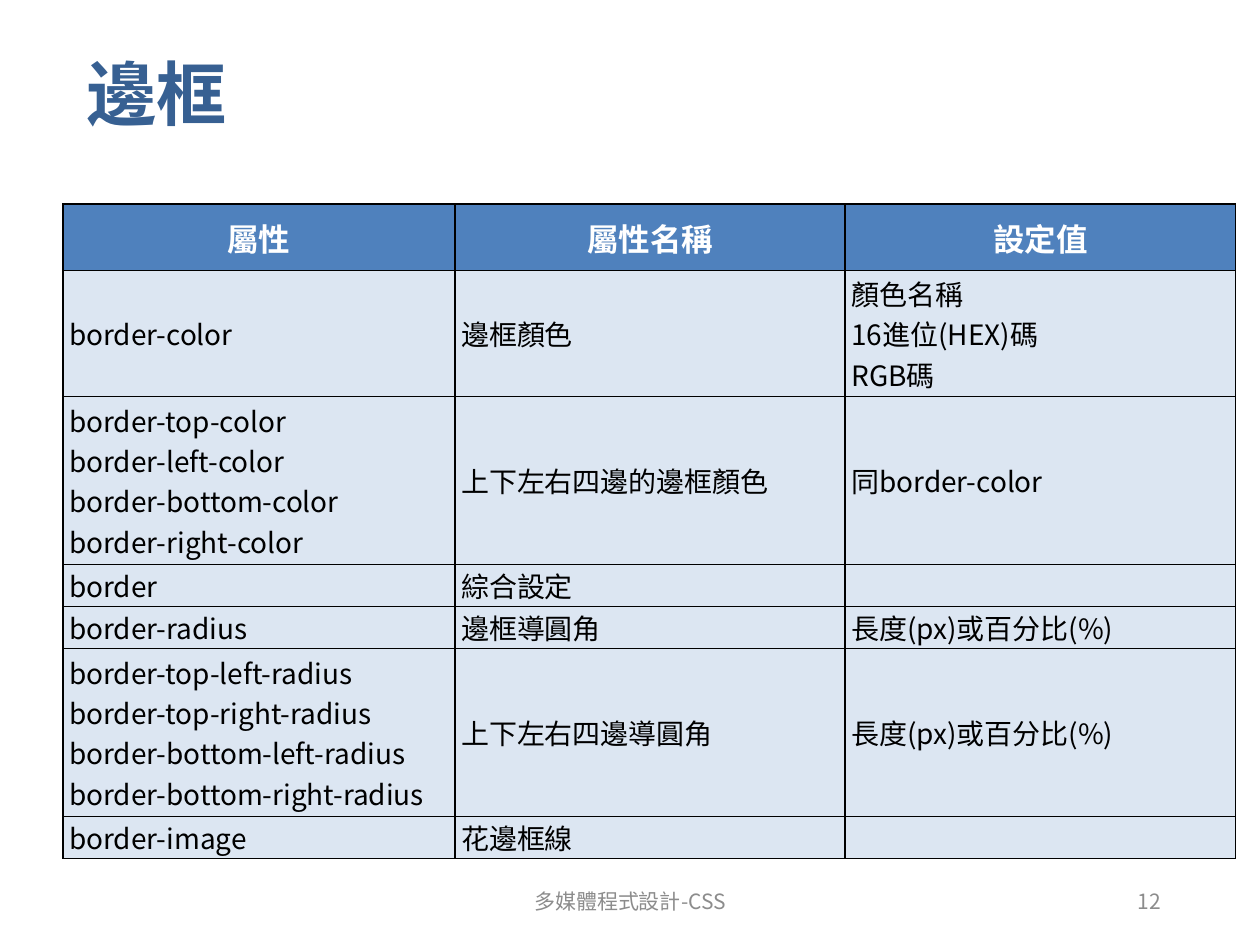
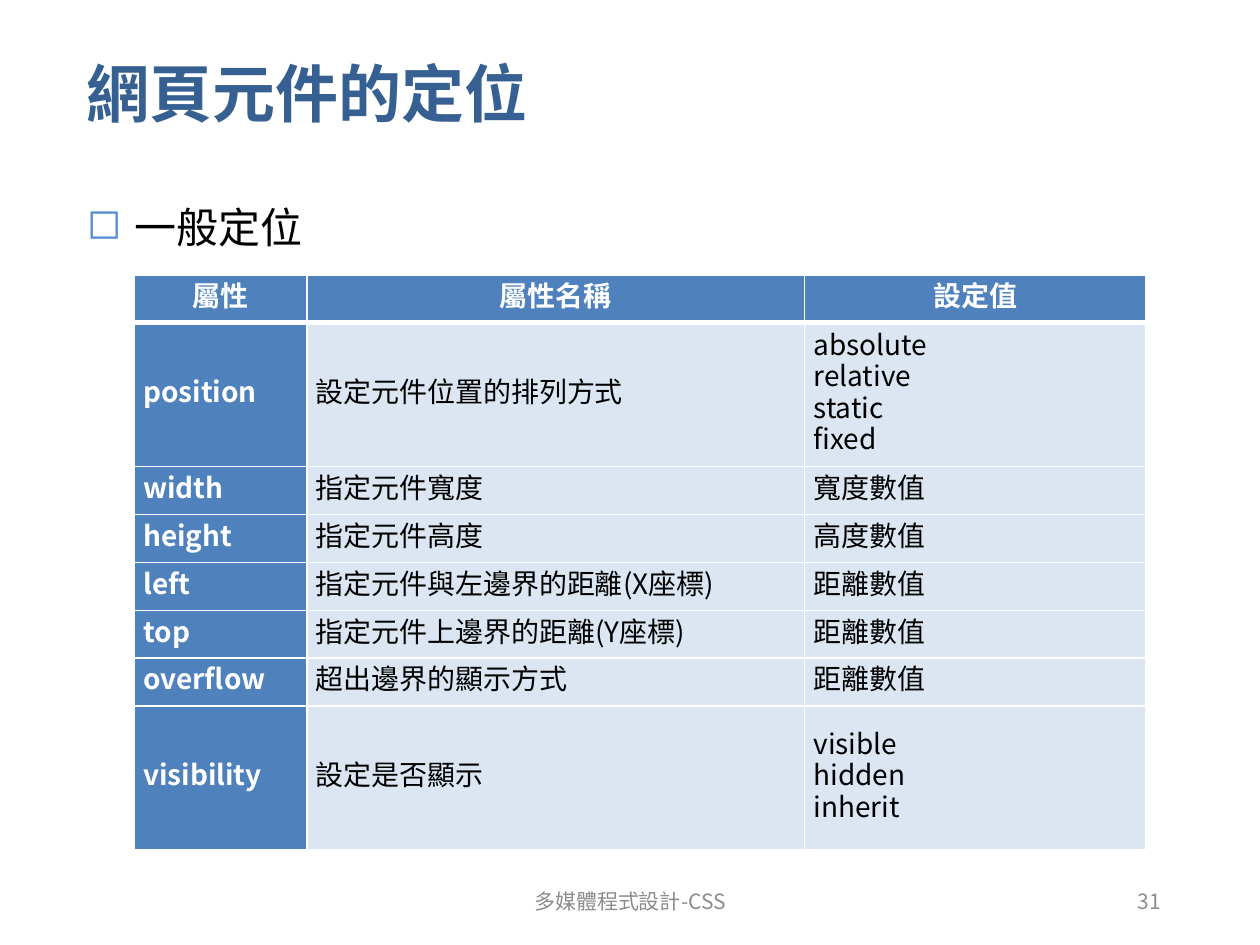
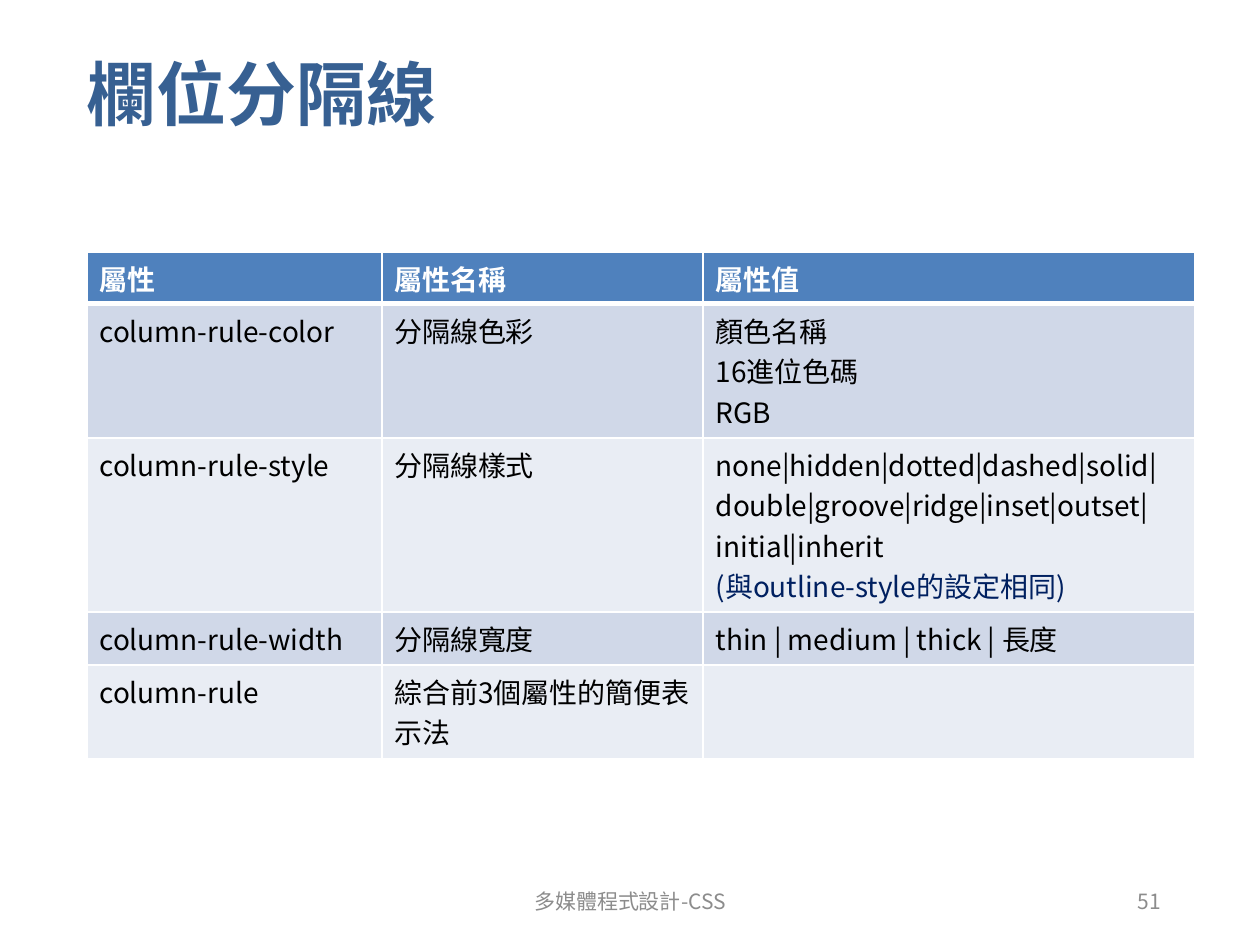
from dataclasses import dataclass

from lxml import etree
from pptx import Presentation
from pptx.dml.color import RGBColor
from pptx.enum.text import MSO_ANCHOR, PP_ALIGN
from pptx.oxml.ns import qn
from pptx.util import Pt

LEFT, CENTER, RIGHT = PP_ALIGN.LEFT, PP_ALIGN.CENTER, PP_ALIGN.RIGHT
TOP, MIDDLE = MSO_ANCHOR.TOP, MSO_ANCHOR.MIDDLE

# Shared colours and fonts
WHITE, BLACK, NAVY = "FFFFFF", "000000", "002060"
TITLE_BLUE, HEADER_BLUE, BULLET_BLUE = "376092", "4F81BD", "558ED5"
PALE_BLUE, BAND_DARK, BAND_LIGHT = "DCE6F2", "D0D8E8", "E9EDF4"
FOOTER_GRAY = "8C8C8C"
HEADING_FONT, TABLE_FONT, FOOTER_FONT = "Arial", "Noto Sans CJK SC", "Noto Sans CJK KR"
FOOTER = "多媒體程式設計-CSS"


@dataclass
class Style:
    size: float
    font: str
    color: str
    bold: bool = False


@dataclass
class Area:
    left: float
    top: float
    width: float
    height: float


@dataclass
class TableDesign:
    left: float
    top: float
    columns: list[float]
    rows: list[float]
    bands: list[str]
    line_color: str = WHITE
    header_line: float = 3
    header_size: float = 16
    header_align: PP_ALIGN = CENTER
    anchor: MSO_ANCHOR = MIDDLE
    side_margin: float = 7.2
    top_margin: float = 0
    line_spacing: float | None = None
    header_column: bool = False


TITLE_AREA = Area(42.5, 3.6, 627.8, 98.7)
BODY_AREA = Area(42.5, 111.6, 627.8, 38)
FOOTER_AREA = Area(238.5, 500.5, 243, 28.8)
NUMBER_AREA = Area(508.5, 500.5, 162, 28.8)
FOOTER_STYLE = Style(12, FOOTER_FONT, FOOTER_GRAY)


def rgb(color: str) -> RGBColor:
    return RGBColor.from_string(color)


def add_span(para, text: str, style: Style) -> None:
    span = para.add_run()
    span.text = text
    span.font.size = Pt(style.size)
    span.font.name = style.font
    span.font.bold = style.bold
    span.font.color.rgb = rgb(style.color)
    east_asian = etree.SubElement(span.font._element, qn("a:ea"))
    east_asian.set("typeface", TABLE_FONT if style.font == HEADING_FONT else style.font)


def add_text(page, area: Area, text: str, style: Style, align=LEFT, anchor=MIDDLE):
    box = page.shapes.add_textbox(Pt(area.left), Pt(area.top), Pt(area.width), Pt(area.height))
    frame = box.text_frame
    frame.word_wrap = True
    frame.vertical_anchor = anchor
    para = frame.paragraphs[0]
    para.alignment = align
    add_span(para, text, style)
    return para


def add_bullet(para, symbol: str, color: str, indent: float) -> None:
    properties = para._p.get_or_add_pPr()
    properties.set("marL", str(Pt(indent)))
    properties.set("indent", str(-Pt(indent)))
    bullet_color = etree.SubElement(properties, qn("a:buClr"))
    etree.SubElement(bullet_color, qn("a:srgbClr")).set("val", color)
    etree.SubElement(properties, qn("a:buChar")).set("char", symbol)


def set_borders(cell, color: str, top: float, bottom: float) -> None:
    properties = cell._tc.get_or_add_tcPr()
    for side, width in (("L", 1), ("R", 1), ("T", top), ("B", bottom)):
        line = etree.SubElement(properties, qn(f"a:ln{side}"), w=str(Pt(width)))
        fill = etree.SubElement(line, qn("a:solidFill"))
        etree.SubElement(fill, qn("a:srgbClr")).set("val", color)


def fill_cell(cell, text: str, style: Style, design: TableDesign, align: PP_ALIGN) -> None:
    cell.vertical_anchor = design.anchor
    cell.margin_left = cell.margin_right = Pt(design.side_margin)
    cell.margin_top = cell.margin_bottom = Pt(design.top_margin)
    frame = cell.text_frame
    for index, line in enumerate(text.split("\n")):
        para = frame.add_paragraph() if index else frame.paragraphs[0]
        para.alignment = align
        if design.line_spacing:
            para.line_spacing = Pt(design.line_spacing)
        if line:
            # A remark in brackets stands out in navy
            color = NAVY if line.startswith("(") else style.color
            add_span(para, line, Style(style.size, style.font, color, style.bold))
        else:
            # Keep an empty cell from stretching its row
            etree.SubElement(para._p, qn("a:endParaRPr")).set("sz", str(int(style.size * 100)))


def add_property_table(page, design: TableDesign, content: list[list[str]]) -> None:
    frame = page.shapes.add_table(
        len(design.rows), len(design.columns), Pt(design.left), Pt(design.top),
        Pt(sum(design.columns)), Pt(sum(design.rows)))
    table = frame.table
    table.first_row = table.horz_banding = False
    for column, width in zip(table.columns, design.columns):
        column.width = Pt(width)
    for row, height in zip(table.rows, design.rows):
        row.height = Pt(height)

    for row_index, texts in enumerate(content):
        is_header = row_index == 0
        band = design.bands[(row_index - 1) % len(design.bands)]
        for column_index, text in enumerate(texts):
            cell = table.cell(row_index, column_index)
            strong = is_header or (design.header_column and column_index == 0)
            set_borders(cell, design.line_color,
                        top=design.header_line if row_index == 1 else 1,
                        bottom=design.header_line if is_header else 1)
            cell.fill.solid()
            cell.fill.fore_color.rgb = rgb(HEADER_BLUE if strong else band)
            style = Style(design.header_size if is_header else 16, TABLE_FONT,
                          WHITE if strong else BLACK, strong)
            fill_cell(cell, text, style, design, design.header_align if is_header else LEFT)


def add_page(deck, title: str, number: int, title_size: float = 40):
    page = deck.slides.add_slide(deck.slide_layouts[6])
    add_text(page, TITLE_AREA, title, Style(title_size, HEADING_FONT, TITLE_BLUE, True))
    add_text(page, FOOTER_AREA, FOOTER, FOOTER_STYLE, CENTER)
    add_text(page, NUMBER_AREA, str(number), FOOTER_STYLE, RIGHT)
    return page


def build_border_page(deck) -> None:
    page = add_page(deck, "邊框", 12)
    design = TableDesign(36, 116.6, [224, 223, 223], [38, 72, 96, 24, 24, 96, 24],
                         [PALE_BLUE], line_color=BLACK, header_line=1,
                         header_size=18, side_margin=3.6)
    add_property_table(page, design, [
        ["屬性", "屬性名稱", "設定值"],
        ["border-color", "邊框顏色", "顏色名稱\n16進位(HEX)碼\nRGB碼"],
        ["border-top-color\nborder-left-color\nborder-bottom-color\nborder-right-color",
         "上下左右四邊的邊框顏色", "同border-color"],
        ["border", "綜合設定", ""],
        ["border-radius", "邊框導圓角", "長度(px)或百分比(%)"],
        ["border-top-left-radius\nborder-top-right-radius\n"
         "border-bottom-left-radius\nborder-bottom-right-radius",
         "上下左右四邊導圓角", "長度(px)或百分比(%)"],
        ["border-image", "花邊框線", ""],
    ])


def build_position_page(deck) -> None:
    page = add_page(deck, "網頁元件的定位", 31, title_size=36)
    para = add_text(page, BODY_AREA, "一般定位", Style(24, HEADING_FONT, BLACK), anchor=TOP)
    add_bullet(para, "◻", BULLET_BLUE, 27)
    design = TableDesign(76.8, 157, [98.6, 284.4, 195.1], [27.4, 82.2] + [27.4] * 5 + [82.2],
                         [PALE_BLUE], side_margin=5.2, line_spacing=18, header_column=True)
    add_property_table(page, design, [
        ["屬性", "屬性名稱", "設定值"],
        ["position", "設定元件位置的排列方式", "absolute\nrelative\nstatic\nfixed"],
        ["width", "指定元件寬度", "寬度數值"],
        ["height", "指定元件高度", "高度數值"],
        ["left", "指定元件與左邊界的距離(X座標)", "距離數值"],
        ["top", "指定元件上邊界的距離(Y座標)", "距離數值"],
        ["overflow", "超出邊界的顯示方式", "距離數值"],
        ["visibility", "設定是否顯示", "visible\nhidden\ninherit"],
    ])


def build_column_rule_page(deck) -> None:
    page = add_page(deck, "欄位分隔線", 51)
    design = TableDesign(49.7, 144, [168.5, 183.6, 280.8], [29.6, 76.6, 99.6, 30.2, 53.4],
                         [BAND_DARK, BAND_LIGHT], header_align=LEFT, anchor=TOP,
                         top_margin=3.6)
    add_property_table(page, design, [
        ["屬性", "屬性名稱", "屬性值"],
        ["column-rule-color", "分隔線色彩", "顏色名稱\n16進位色碼\nRGB"],
        ["column-rule-style", "分隔線樣式",
         "none|hidden|dotted|dashed|solid|double|groove|ridge|inset|outset|initial|inherit\n"
         "(與outline-style的設定相同)"],
        ["column-rule-width", "分隔線寬度", "thin | medium | thick | 長度"],
        ["column-rule", "綜合前3個屬性的簡便表示法", ""],
    ])


def main() -> None:
    deck = Presentation()
    deck.slide_width, deck.slide_height = Pt(720), Pt(540)
    build_border_page(deck)
    build_position_page(deck)
    build_column_rule_page(deck)
    deck.save("out.pptx")


if __name__ == "__main__":
    main()
